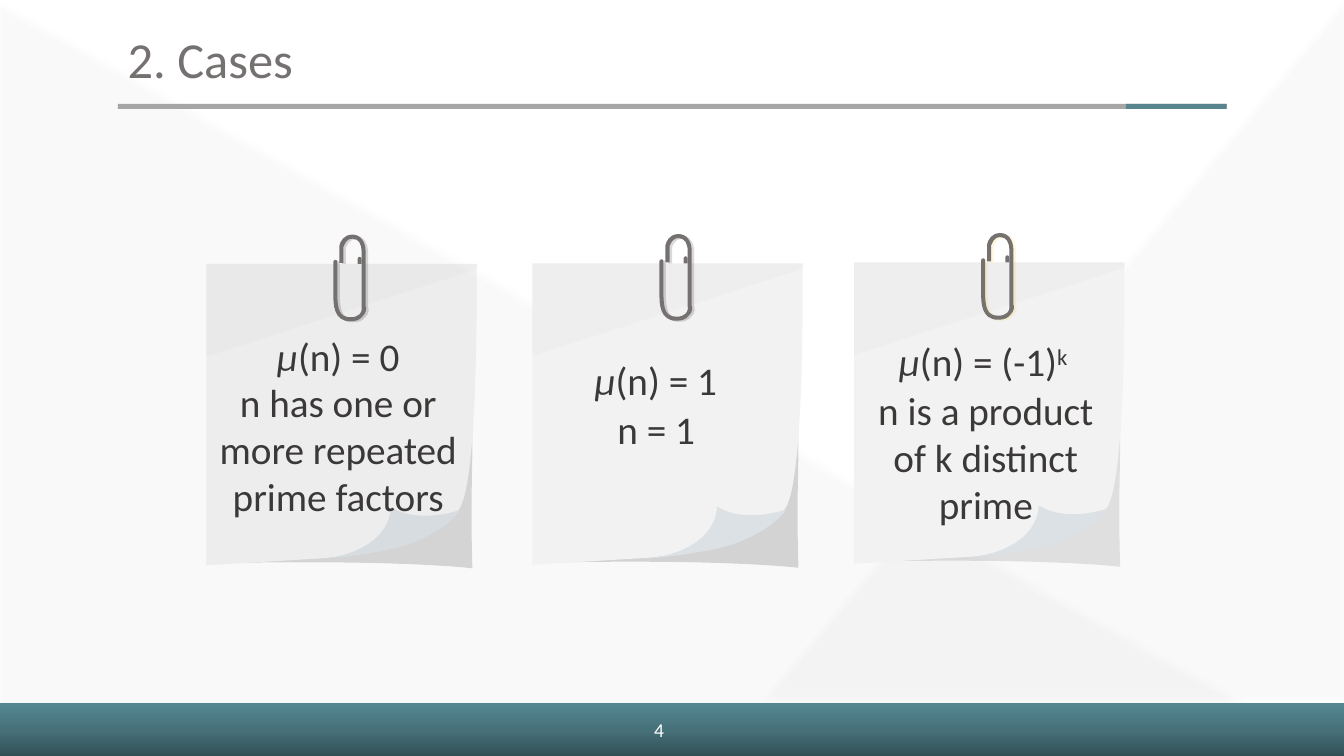
"""Build the slide of three clipped paper notes with the cases of the Mobius function."""
from copy import deepcopy
from lxml.etree import SubElement as Sub
from pptx import Presentation
from pptx.dml.color import RGBColor as Rgb
from pptx.enum.shapes import MSO_SHAPE as Kind
from pptx.enum.text import MSO_ANCHOR as Anchor, PP_ALIGN as Align
from pptx.oxml.ns import qn
from pptx.util import Pt

WIDE, HIGH = 960, 540
UNIT = 0.72
GREY, INK, PAPER, WHITE = "767171", "3B3838", "F2F2F2", "FFFFFF"
LEFT, CENTER = Align.LEFT, Align.CENTER

CAST = [(264, 302), (264, 302, 192, 293, 7, 297), (7, 7), (264, 7), (264, 179),
        (264, 197, 262, 247, 264, 302)]
SHEET = [(268, 0), (0, 0), (0, 299), (116, 292), (116, 292, 152, 289, 186, 277),
         (219, 265, 251, 245, 251, 243), (271, 212, 268, 0, 268, 0)]
CURL = [(252, 244), (252, 244, 211, 259, 183, 241), (183, 241, 186, 284, 114, 293),
        (114, 293, 177, 288, 206, 276), (241, 262, 252, 244, 252, 244)]
SHADE = [(269, 5), (0, 92), (0, 0), (269, 0)]
CLIP = [(158, 42), (158, -12), (158, -22, 153, -29, 145, -29),
        (136, -29, 133, -22, 132, -18), (132, -1), (136, -1), (136, -17),
        (137, -18, 138, -25, 145, -25), (151, -25, 154, -20, 154, -12), (154, 43),
        (154, 43, 155, 47, 152, 50), (150, 52, 147, 53, 143, 53),
        (132, 53, 130, 45, 130, 30), (130, -2), (130, -3, 129, -4, 128, -4),
        (127, -4, 126, -3, 126, -2), (126, 30), (126, 40, 126, 57, 143, 57),
        (149, 57, 153, 55, 155, 52), (159, 49, 159, 43, 158, 42)]
STUB = [(154, -5), (154, -6, 153, -7, 152, -7), (151, -7, 150, -6, 150, -5),
        (150, 0), (154, 0)]

NOTES = [
    dict(at=(147.4, 188.5), cast=15, tint="000000"),
    dict(at=(380.3, 188.1), cast=15, tint="000000"),
    dict(at=(610.1, 187.4), cast=10, tint="FFC000"),
]
MU = ("μ", "i")
BODIES = [
    ("n is a product of k distinct prime", (616.3, 276.2, 175.7, 102)),
    ("n = 1", (380.9, 289.8, 175.7, 34)),
    ("n has one or more repeated prime factors", (147.6, 270.4, 187.9, 102)),
]
RULES = [
    ([MU, ("(n) = 0", "")], (180, 234, 123.1, 41), CENTER, True),
    ([MU, ("(n) = 1", "")], (416.9, 251.3, 103, 41), CENTER, False),
    ([MU, ("(n) = (-1)", ""), ("k", "sup")], (635, 237.6, 144, 41), LEFT, True),
]
FACETS = [((0, 0, WIDE, HIGH), 0), ((505.4, 41.8, 496.1, 412.6), 270)]
BARS = [((84.2, 74.2, 792, 3.6), "A6A6A6"), ((804.2, 74.2, 72, 3.6), "58848D")]
FOOT = [(0, "325056"), (0.5, "47717A"), (1, "548791")]

deck = Presentation()
deck.slide_width, deck.slide_height = Pt(WIDE), Pt(HIGH)
slide = deck.slides.add_slide(deck.slide_layouts[6])
shapes = slide.shapes


def color(hue):
    return Rgb.from_string(hue)


def paint(shape, hue, alpha=100):
    shape.shadow.inherit = False
    shape.line.fill.background()
    shape.fill.solid()
    shape.fill.fore_color.rgb = color(hue)
    if alpha < 100:
        node = shape._element.spPr.find(".//" + qn("a:srgbClr"))
        Sub(node, qn("a:alpha"), val=str(alpha * 1000))


def bend(node, pulls):
    node.tag = qn("a:cubicBezTo")
    for spot, (x, y) in enumerate(pulls):
        pull = deepcopy(node[-1])
        pull.set("x", str(x))
        pull.set("y", str(y))
        node.insert(spot, pull)


def trace(outline, at, hue, alpha=100, shift=(0, 0)):
    def place(dot):
        return tuple(Pt(a + (d + s) * UNIT) for a, d, s in zip(at, dot, shift))

    ends = [place(part[-2:]) for part in outline]
    pen = shapes.build_freeform(*ends[0], scale=1.0)
    pen.add_line_segments(ends[1:], close=True)
    shape = pen.convert_to_shape()
    nodes = list(shape._element.iter(qn("a:lnTo")))
    for node, part in zip(nodes, outline[1:]):
        if len(part) == 6:
            pulls = [place(part[:2]), place(part[2:4])]
            bend(node, [(x - shape.left, y - shape.top) for x, y in pulls])
    paint(shape, hue, alpha)


def note(at, cast, tint):
    trace(CAST, at, "000000", cast)
    trace(SHEET, at, PAPER)
    trace(CURL, at, "DCE1E6")
    trace(SHADE, at, "C1C6CA", 7)
    trace(CLIP, at, tint, 15, (2.5, 1))
    trace(STUB, at, GREY)
    trace(CLIP, at, GREY)


def block(kind, box, hue, alpha=100):
    shape = shapes.add_shape(kind, *map(Pt, box))
    paint(shape, hue, alpha)
    return shape


def facet(box, turn):
    shape = block(Kind.RIGHT_TRIANGLE, box, PAPER, 2)
    shape.rotation = turn
    glow = Sub(shape._element.spPr.find(qn("a:effectLst")), qn("a:outerShdw"),
               blurRad=str(Pt(4)), dist=str(Pt(4)), dir="5400000", rotWithShape="0")
    Sub(glow, qn("a:srgbClr"), val="000000")


def write(text, box, size=28, hue=INK, align=LEFT, wrap=True, inset=(7.2, 3.6),
          anchor=Anchor.TOP, space=None):
    frame = shapes.add_textbox(*map(Pt, box)).text_frame
    frame.word_wrap, frame.vertical_anchor = wrap, anchor
    frame.margin_left = frame.margin_right = Pt(inset[0])
    frame.margin_top = frame.margin_bottom = Pt(inset[1])
    para = frame.paragraphs[0]
    para.alignment, para.line_spacing = align, space
    for words, style in [(text, "")] if isinstance(text, str) else text:
        run = para.add_run()
        run.text = words
        font = run.font
        font.name, font.size, font.italic = "Calibri", Pt(size), style == "i"
        font.color.rgb = color(hue)
        if style == "sup":
            run._r.get_or_add_rPr().set("baseline", "30000")


note(**NOTES[0])
for box, turn in FACETS:
    facet(box, turn)
for item in NOTES[1:]:
    note(**item)

foot = block(Kind.RECTANGLE, (0, 502.5, WIDE, 37.5), FOOT[0][1])
foot.fill.gradient()
foot.fill.gradient_angle = 90
stops = foot._element.spPr.find(".//" + qn("a:gsLst"))
stops.append(deepcopy(stops[0]))
for stop, (spot, hue) in zip(foot.fill.gradient_stops, FOOT):
    stop.position, stop.color.rgb = spot, color(hue)

write("2. Cases", (84.2, 11.5, 792, 66.2), size=36, hue=GREY,
      anchor=Anchor.MIDDLE, space=0.9)
for box, hue in BARS:
    block(Kind.RECTANGLE, box, hue)
for text, box in BODIES:
    write(text, box, align=CENTER, inset=(0, 0))
for text, box, align, wrap in RULES:
    write(text, box, align=align, wrap=wrap)
write("4", (460.1, 509, 21.6, 24.5), size=14, hue=WHITE, wrap=False)

deck.save("out.pptx")
